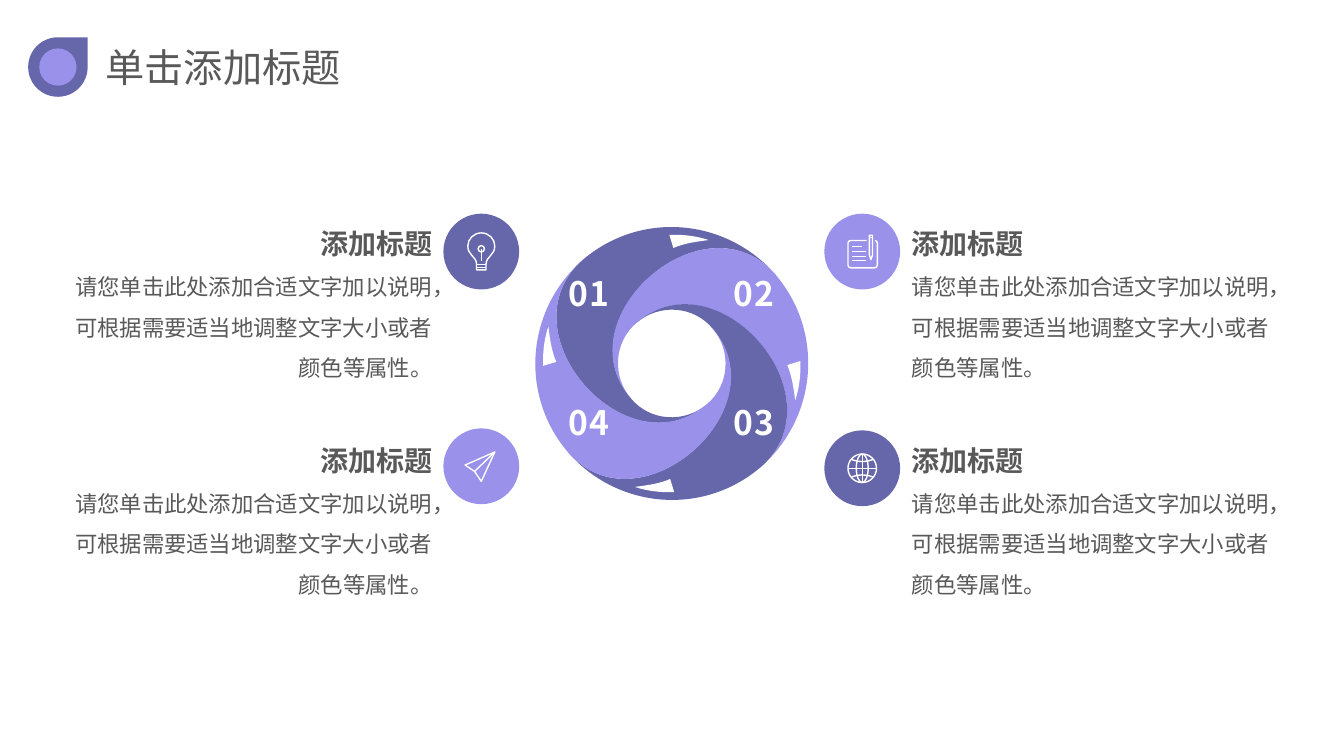
from lxml.etree import Element, SubElement
from pptx import Presentation
from pptx.dml.color import RGBColor
from pptx.enum.shapes import MSO_SHAPE
from pptx.enum.text import MSO_ANCHOR, MSO_AUTO_SIZE, PP_ALIGN
from pptx.oxml.ns import qn
from pptx.util import Cm, Pt

DARK = RGBColor(0x66, 0x67, 0xAB)
LIGHT = RGBColor(0x9A, 0x91, 0xEB)
GREY = RGBColor(0x59, 0x59, 0x59)
WHITE = RGBColor(0xFF, 0xFF, 0xFF)
FONT = "Noto Sans CJK SC"
BODY = "请您单击此处添加合适文字加以说明，可根据需要适当地调整文字大小或者颜色等属性。"

# Contours in cm: a start point, then segments of one point (line) or three (curve)
PETAL = [(2.63, -2.22),
         [(1.38, -3.67), (-0.77, -3.85), (-2.22, -2.63)],
         [(-4.31, -0.85), (-1.16, 2.78), (0.88, 1.03)],
         [(0.32, 1.51), (-0.55, 1.46), (-1.03, 0.88)],
         [(-2.76, -1.16), (0.85, -4.31), (2.63, -2.22)]]
ARROW = [(0.93, -3.11),
         [(0.7, -3.19), (0.34, -3.26), (-0.06, -3.24)],
         [(0.04, -2.91)],
         [(0.27, -3.01), (0.52, -3.06), (0.93, -3.11)]]
WHEEL_CENTER = (16.93, 9.16)


def line(x1, y1, x2, y2):
    return [(x1, y1), [(x2, y2)]]


def oval(rx, ry, cy=0.0):
    kx, ky = 0.55 * rx, 0.55 * ry
    return [(rx, cy),
            [(rx, cy + ky), (kx, cy + ry), (0, cy + ry)],
            [(-kx, cy + ry), (-rx, cy + ky), (-rx, cy)],
            [(-rx, cy - ky), (-kx, cy - ry), (0, cy - ry)],
            [(kx, cy - ry), (rx, cy - ky), (rx, cy)]]


# Icon contours, measured from the centre of their badge
BULB = [
    [(-0.12, 0.32),
     [(-0.12, 0.12), (-0.34, 0.1), (-0.34, -0.14)],
     [(-0.34, -0.32), (-0.19, -0.47), (0, -0.47)],
     [(0.19, -0.47), (0.34, -0.32), (0.34, -0.14)],
     [(0.34, 0.1), (0.12, 0.12), (0.12, 0.32)],
     [(0.12, 0.46)], [(-0.12, 0.46)], [(-0.12, 0.32)]],
    line(-0.12, 0.33, 0.12, 0.33), line(-0.12, 0.4, 0.12, 0.4),
    oval(0.08, 0.08, -0.07), line(0, -0.07, 0, 0.23)]
NOTE = [
    [(0.11, -0.28), [(-0.29, -0.28)],
     [(-0.33, -0.28), (-0.36, -0.25), (-0.36, -0.21)], [(-0.36, 0.34)],
     [(-0.36, 0.38), (-0.33, 0.41), (-0.29, 0.41)], [(0.31, 0.41)],
     [(0.35, 0.41), (0.38, 0.38), (0.38, 0.34)], [(0.38, -0.21)],
     [(0.38, -0.25), (0.36, -0.28), (0.32, -0.28)]],
    line(-0.26, -0.13, -0.01, -0.13),
    *[line(-0.26, y, 0.1, y) for y in (0, 0.12, 0.23)],
    [(0.18, -0.41), [(0.26, -0.41)], [(0.26, 0.09)], [(0.22, 0.2)],
     [(0.18, 0.09)], [(0.18, -0.41)]],
    line(0.18, -0.36, 0.26, -0.36)]
GLOBE = [
    oval(0.36, 0.36), oval(0.15, 0.36),
    line(0, -0.36, 0, 0.36), line(-0.36, 0, 0.36, 0),
    *[[(-0.27, 0.22 * s), [(-0.1, 0.15 * s), (0.1, 0.15 * s), (0.27, 0.22 * s)]]
      for s in (-1, 1)]]
PLANE = [
    [(0.34, -0.36), [(-0.41, -0.03)], [(-0.17, 0.13)], [(0, 0.38)], [(0.34, -0.36)]],
    line(-0.17, 0.13, 0.34, -0.36)]

# Badge centre, colour, icon, then text left, top and alignment
TOPICS = [
    ((12.13, 6.34), DARK, BULB, 1.55, 5.16, PP_ALIGN.RIGHT),
    ((21.73, 6.34), LIGHT, NOTE, 22.73, 5.16, PP_ALIGN.LEFT),
    ((21.73, 11.8), DARK, GLOBE, 22.73, 10.62, PP_ALIGN.LEFT),
    ((12.13, 11.75), LIGHT, PLANE, 1.55, 10.62, PP_ALIGN.RIGHT),
]
NUMBERS = [("01", 14.85, 7.49), ("02", 19.01, 7.49),
           ("03", 19.01, 10.74), ("04", 14.85, 10.74)]


def place(point, center, turns):
    """Turn a point clockwise by quarter turns and move it to the centre."""
    x, y = point
    for _ in range(turns):
        x, y = -y, x
    return Cm(center[0] + x), Cm(center[1] + y)


def bend(shape, contours):
    """Merge the line steps of each curve into one Bézier segment."""
    steps = shape._element.iter(qn("a:lnTo"))
    steps = iter(list(steps))
    for contour in contours:
        for segment in contour[1:]:
            group = [next(steps) for _ in segment]
            if len(group) == 3:
                curve = Element(qn("a:cubicBezTo"))
                group[0].addprevious(curve)
                for step in group:
                    curve.append(step[0])
                    step.getparent().remove(step)


def add_outline(page, contours, center, turns=0):
    builder = page.shapes.build_freeform(*place(contours[0][0], center, turns))
    for index, contour in enumerate(contours):
        if index:
            builder.move_to(*place(contour[0], center, turns))
        points = [place(point, center, turns)
                  for segment in contour[1:] for point in segment]
        builder.add_line_segments(points, close=contour[0] == contour[-1][-1])
    shape = builder.convert_to_shape()
    bend(shape, contours)
    shape.shadow.inherit = False
    return shape


def paint(shape, color):
    shape.fill.solid()
    shape.fill.fore_color.rgb = color
    shape.line.fill.background()


def add_icon(page, icon, center):
    shape = add_outline(page, icon, center)
    shape.fill.background()
    shape.line.color.rgb = WHITE
    shape.line.width = Pt(1)


def add_disc(page, kind, center, size, color):
    shape = page.shapes.add_shape(kind, Cm(center[0] - size / 2),
                                  Cm(center[1] - size / 2), Cm(size), Cm(size))
    shape.shadow.inherit = False
    paint(shape, color)


def add_span(para, text, size, color, bold=False, spacing=None):
    span = para.add_run()
    span.text = text
    span.font.size = Pt(size)
    span.font.bold = bold
    span.font.color.rgb = color
    span.font.name = FONT
    props = span._r.get_or_add_rPr()
    props.set("lang", "zh-CN")
    if spacing:
        props.set("spc", str(spacing))
    SubElement(props, qn("a:ea")).set("typeface", FONT)


def add_title(page):
    title = page.shapes.title
    title.left, title.top, title.width, title.height = Cm(2.41), Cm(0.97), Cm(7.09), Cm(1.45)
    frame = title.text_frame
    frame.auto_size = MSO_AUTO_SIZE.NONE
    frame.vertical_anchor = MSO_ANCHOR.MIDDLE
    para = frame.paragraphs[0]
    para.alignment = PP_ALIGN.LEFT
    add_span(para, "单击添加标题", 28, GREY)


def add_topic(page, center, color, icon, left, top, alignment):
    add_disc(page, MSO_SHAPE.OVAL, center, 1.91, color)
    add_icon(page, icon, center)
    frame = page.shapes.add_textbox(Cm(left), Cm(top), Cm(9.6), Cm(4.5)).text_frame
    frame.word_wrap = True
    heading, body = frame.paragraphs[0], frame.add_paragraph()
    for para in (heading, body):
        para.alignment = alignment
        para.line_spacing = 1.5
    add_span(heading, "添加标题", 20, GREY, bold=True)
    add_span(body, BODY, 16, GREY)


def add_number(page, text, x, y):
    box = page.shapes.add_textbox(Cm(x - 0.8), Cm(y - 0.53), Cm(1.6), Cm(1.06))
    frame = box.text_frame
    frame.word_wrap = True
    frame.margin_left = frame.margin_right = 0
    frame.vertical_anchor = MSO_ANCHOR.BOTTOM
    para = frame.paragraphs[0]
    para.alignment = PP_ALIGN.CENTER
    para.line_spacing = 0.9
    add_span(para, text, 24, WHITE, bold=True, spacing=100)


def main():
    deck = Presentation()
    deck.slide_width, deck.slide_height = Cm(33.87), Cm(19.05)
    page = deck.slides.add_slide(deck.slide_layouts[5])
    # Heading with its drop mark
    add_disc(page, MSO_SHAPE.TEAR, (1.46, 1.69), 1.5, DARK)
    add_disc(page, MSO_SHAPE.OVAL, (1.46, 1.69), 0.94, LIGHT)
    add_title(page)
    # Four topics around the wheel
    for topic in TOPICS:
        add_topic(page, *topic)
    # Wheel of four petals, each a quarter turn on
    for turns, color in enumerate((DARK, LIGHT, DARK, LIGHT)):
        paint(add_outline(page, [PETAL], WHEEL_CENTER, turns), color)
        paint(add_outline(page, [ARROW], WHEEL_CENTER, turns), WHITE)
    for number in NUMBERS:
        add_number(page, *number)
    deck.save("out.pptx")


if __name__ == "__main__":
    main()
